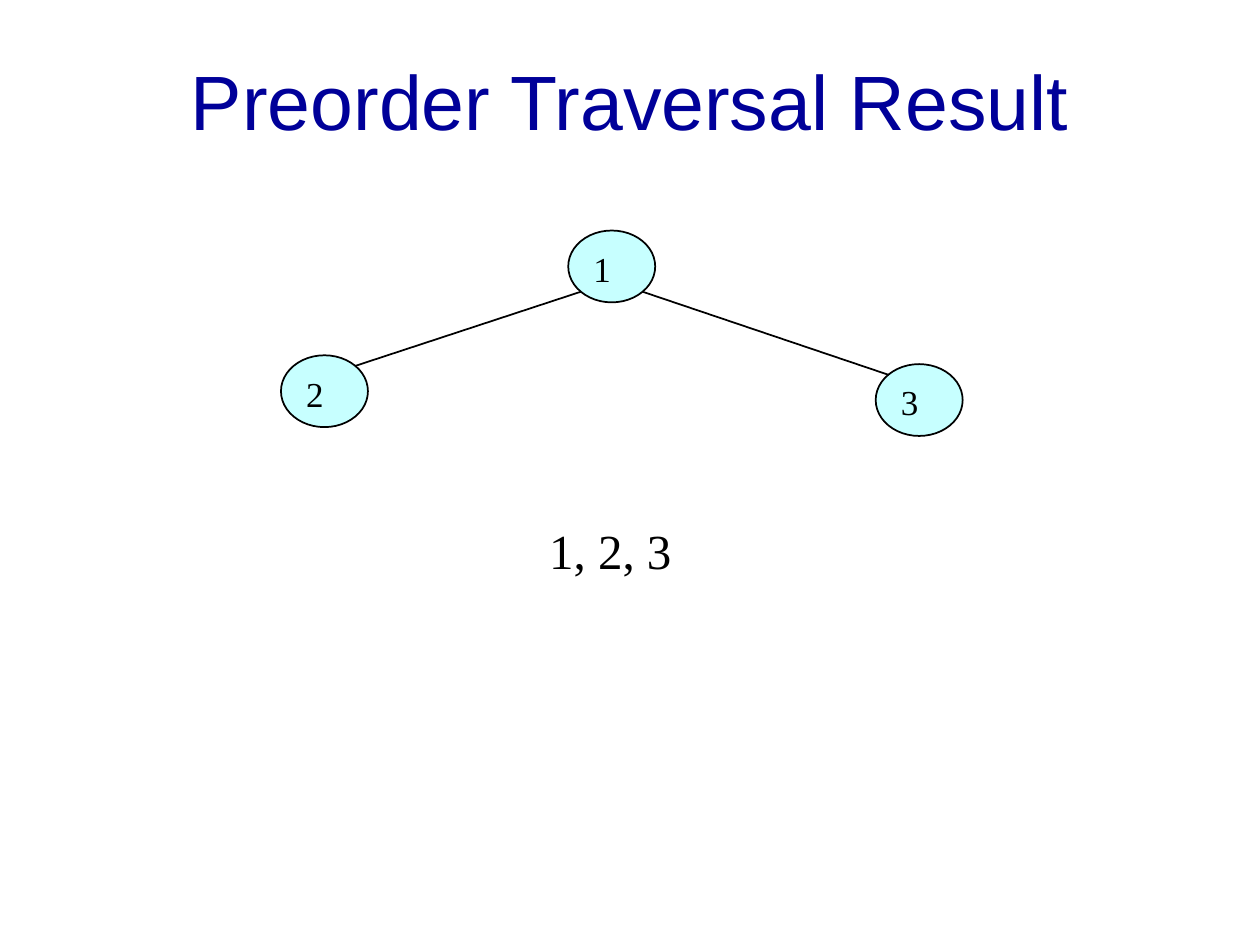
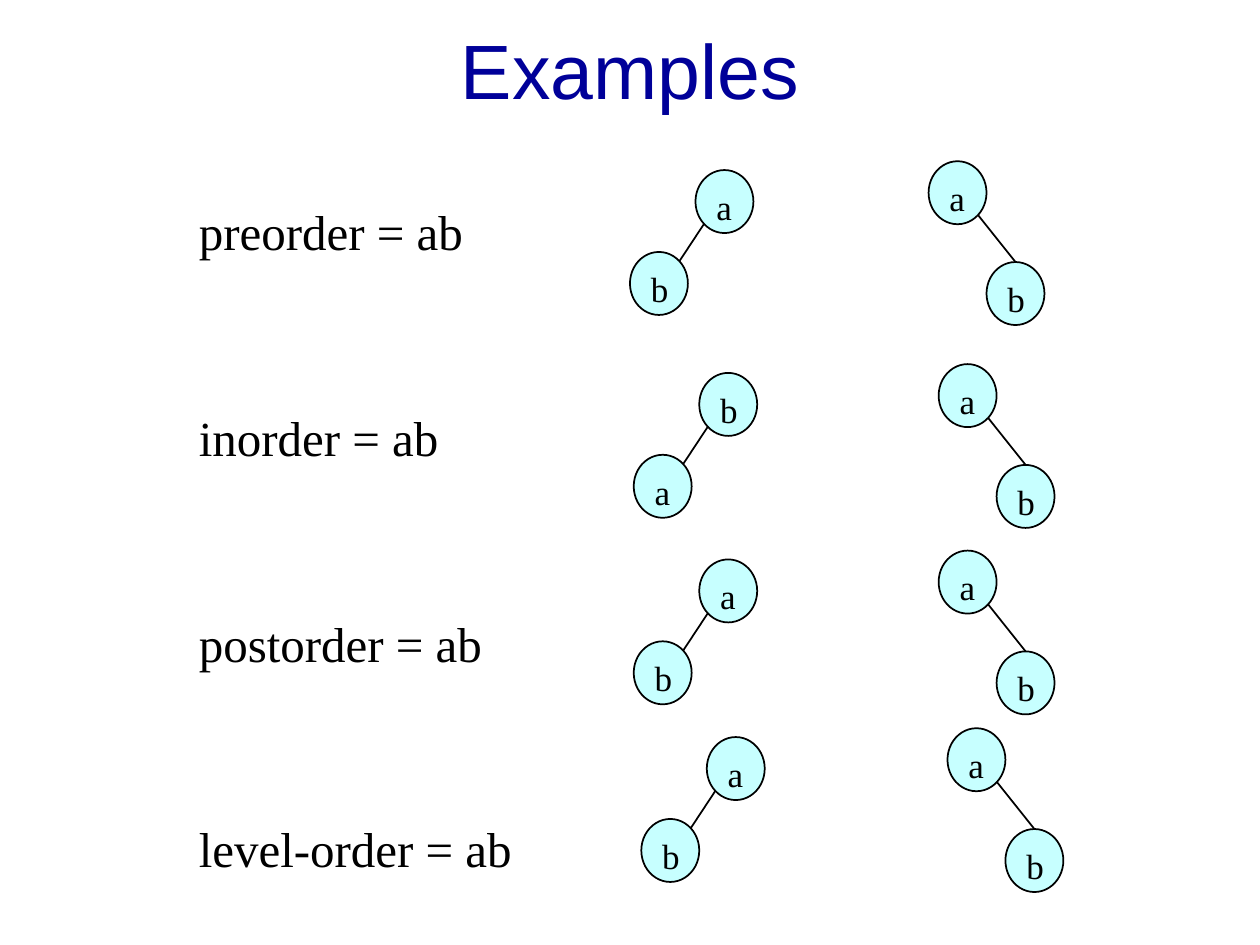
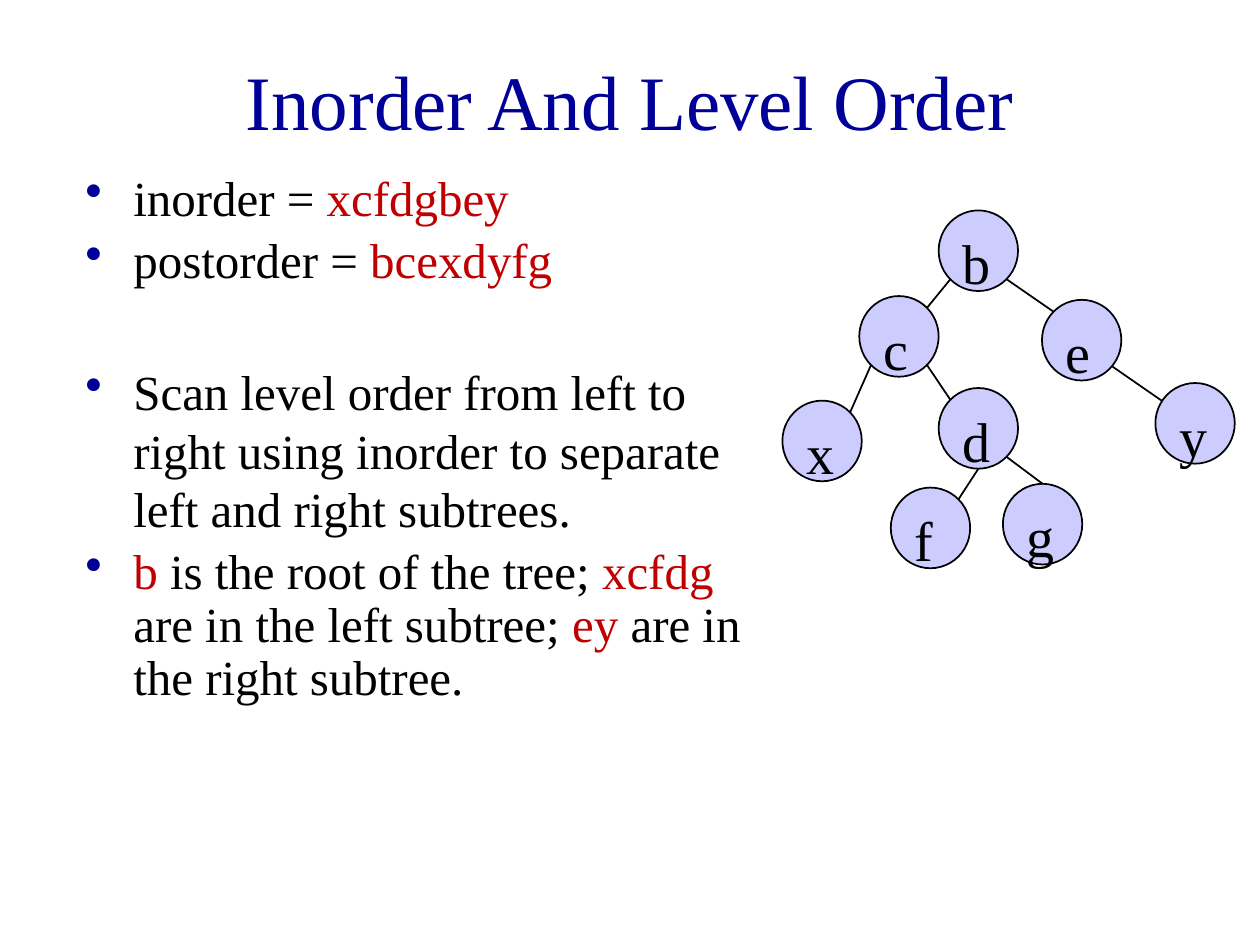
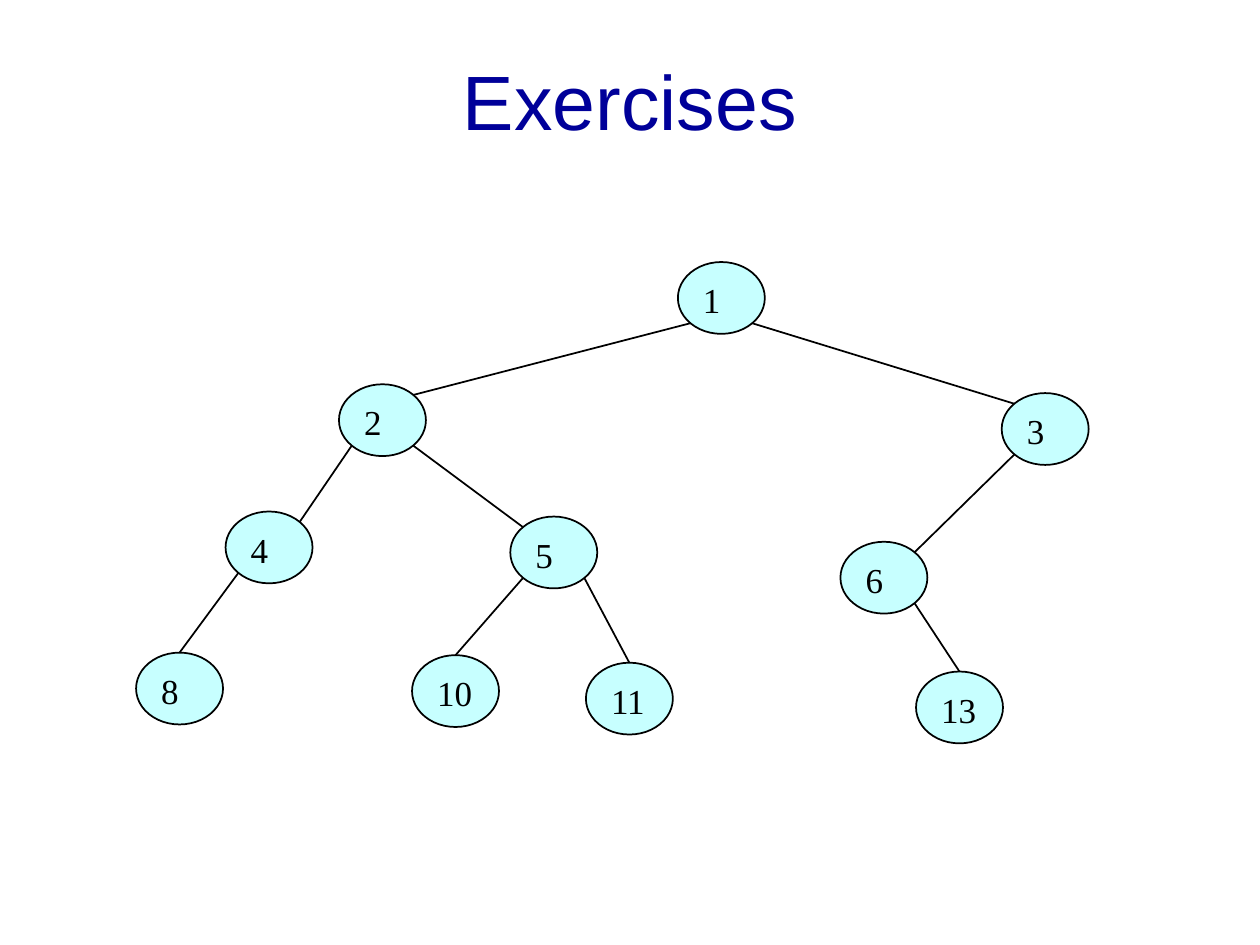
from lxml.etree import SubElement
from pptx import Presentation
from pptx.dml.color import RGBColor
from pptx.enum.shapes import MSO_CONNECTOR, MSO_SHAPE
from pptx.enum.text import MSO_ANCHOR, MSO_AUTO_SIZE, PP_ALIGN
from pptx.oxml.ns import qn
from pptx.util import Pt

# Shared scale, colours and fonts
PX = 9144  # 100 px to the inch
NAVY = RGBColor(0x00, 0x00, 0x99)
BLACK = RGBColor(0x00, 0x00, 0x00)
RED = RGBColor(0xC0, 0x00, 0x00)
CYAN = RGBColor(0xC7, 0xFF, 0xFF)
LILAC = RGBColor(0xCC, 0xCC, 0xFF)
SANS = "Arial"
SERIF = "Times New Roman"

# Points on a node's outline where edges attach, as shares of its size
SITES = {
    "top": (0.5, 0), "bottom": (0.5, 1),
    "top left": (0.15, 0.15), "top right": (0.85, 0.15),
    "bottom left": (0.15, 0.85), "bottom right": (0.85, 0.85),
}
WIDE_NODE = (69, 57)
SMALL_NODE = (46, 50)
ROUND_NODE = (63, 64)


def draw_line(page, start, end):
    ends = [round(value * PX) for value in (*start, *end)]
    line = page.shapes.add_connector(MSO_CONNECTOR.STRAIGHT, *ends)
    line.line.color.rgb = BLACK
    line.line.width = Pt(1)
    SubElement(line._element.spPr, qn("a:effectLst"))


def draw_tree(page, nodes, edges, size, fill, font_size):
    width, height = size
    for label, (left, top) in nodes.items():
        node = page.shapes.add_shape(
            MSO_SHAPE.OVAL, left * PX, top * PX, width * PX, height * PX)
        node.shadow.inherit = False
        node.fill.solid()
        node.fill.fore_color.rgb = fill
        node.line.color.rgb = BLACK
        node.line.width = Pt(1)
        node.text_frame.vertical_anchor = MSO_ANCHOR.TOP
        para = node.text_frame.paragraphs[0]
        para.alignment = PP_ALIGN.LEFT
        span = para.add_run()
        span.text = label
        span.font.name = SERIF
        span.font.size = Pt(font_size)
        span.font.color.rgb = BLACK
    for parent, parent_site, child, child_site in edges:
        start, end = [
            (nodes[label][0] + SITES[site][0] * width,
             nodes[label][1] + SITES[site][1] * height)
            for label, site in ((parent, parent_site), (child, child_site))]
        draw_line(page, start, end)


deck = Presentation()
deck.slide_width = 1000 * PX
deck.slide_height = 750 * PX

# Pages with their titles
pages = []
for text, font_name, height in [
    ("Preorder Traversal Result", SANS, 125),
    ("Examples", SANS, 75),
    ("Inorder And Level Order", SERIF, 125),
    ("Exercises", SANS, 125),
]:
    page = deck.slides.add_slide(deck.slide_layouts[5])
    title = page.shapes.title
    title.left, title.top = 75 * PX, 17 * PX
    title.width, title.height = 850 * PX, height * PX
    title.text_frame.vertical_anchor = MSO_ANCHOR.MIDDLE
    para = title.text_frame.paragraphs[0]
    para.alignment = PP_ALIGN.CENTER
    span = para.add_run()
    span.text = text
    span.font.name = font_name
    span.font.size = Pt(44)
    span.font.color.rgb = NAVY
    pages.append(page)
result_page, examples_page, orders_page, exercises_page = pages

# Preorder result: three-node tree
draw_tree(
    result_page,
    {"1": (451, 183), "2": (223, 282), "3": (695, 289)},
    [("1", "bottom left", "2", "top right"),
     ("1", "bottom right", "3", "top left")],
    WIDE_NODE, CYAN, 20)

# Examples: a left-leaning and a right-leaning tree in each row
for root, leaf, left_x, right_x, top in [
    ("a", "b", 552, 737, 135),
    ("b", "a", 555, 745, 296),
    ("a", "b", 555, 745, 444),
    ("a", "b", 561, 752, 585),
]:
    draw_tree(
        examples_page,
        {root: (left_x, top), leaf: (left_x - 52, top + 65)},
        [(root, "bottom left", leaf, "top right")],
        SMALL_NODE, CYAN, 20)
    draw_tree(
        examples_page,
        {"a": (right_x, top - 7), "b": (right_x + 46, top + 73)},
        [("a", "bottom right", "b", "top")],
        SMALL_NODE, CYAN, 20)

# Inorder and level order: reconstructed tree
draw_tree(
    orders_page,
    {"x": (621, 318), "f": (707, 387), "g": (796, 384), "e": (827, 238),
     "d": (745, 308), "c": (682, 235), "b": (745, 167), "y": (917, 304)},
    [("b", "bottom right", "e", "top left"),
     ("b", "bottom left", "c", "top right"),
     ("c", "bottom left", "x", "top right"),
     ("c", "bottom right", "d", "top left"),
     ("d", "bottom right", "g", "top"),
     ("d", "bottom", "f", "top right")],
    ROUND_NODE, LILAC, 32)
draw_line(orders_page, (883, 291), (922, 318))

# Exercises: ten-node tree
draw_tree(
    exercises_page,
    {"1": (538, 208), "2": (269, 305), "3": (795, 312), "4": (179, 406),
     "8": (108, 518), "5": (405, 410), "10": (327, 520), "11": (465, 526),
     "6": (667, 430), "13": (727, 533)},
    [("1", "bottom left", "2", "top right"),
     ("1", "bottom right", "3", "top left"),
     ("2", "bottom left", "4", "top right"),
     ("2", "bottom right", "5", "top left"),
     ("3", "bottom left", "6", "top right"),
     ("4", "bottom left", "8", "top"),
     ("5", "bottom left", "10", "top"),
     ("5", "bottom right", "11", "top"),
     ("6", "bottom right", "13", "top")],
    WIDE_NODE, CYAN, 20)

# Running text: each paragraph has space before, line spacing and runs
result_text = [(0, 1, [("1, 2, 3", BLACK)])]
examples_text = [
    (space, 1, [(f"{order} = ab", BLACK)])
    for space, order in [(0, "preorder"), (84, "inorder"),
                         (84, "postorder"), (84, "level-order")]]
orders_text = [
    (0, 0.9, [("inorder = ", BLACK), ("xcfdgbey", RED)]),
    (5.6, 0.9, [("postorder = ", BLACK), ("bcexdyfg", RED)]),
    (41, 1, [("Scan level order from left to right using inorder to "
              "separate left and right subtrees.", BLACK)]),
    (5.6, 0.9, [("b", RED), (" is the root of the tree; ", BLACK),
                ("xcfdg", RED), (" are in the left subtree; ", BLACK),
                ("ey", RED), (" are in the right subtree.", BLACK)]),
]
for page, area, wraps, bulleted, paragraphs in [
    (result_page, (426, 408, 118, 57), False, False, result_text),
    (examples_page, (148, 155, 335, 475), True, False, examples_text),
    (orders_page, (58, 133, 562, 542), True, True, orders_text),
]:
    box = page.shapes.add_textbox(*[value * PX for value in area])
    frame = box.text_frame
    frame.word_wrap = wraps
    if not wraps:
        frame.auto_size = MSO_AUTO_SIZE.SHAPE_TO_FIT_TEXT
    for index, (space, spacing, spans) in enumerate(paragraphs):
        para = frame.add_paragraph() if index else frame.paragraphs[0]
        if bulleted:
            properties = para._p.get_or_add_pPr()
            properties.set("marL", str(38 * PX))
            properties.set("indent", str(-38 * PX))
            colour = SubElement(properties, qn("a:buClr"))
            SubElement(colour, qn("a:srgbClr"), val=str(NAVY))
            SubElement(properties, qn("a:buChar"), char="•")
        para.space_before = Pt(space)
        para.line_spacing = spacing
        for text, colour in spans:
            span = para.add_run()
            span.text = text
            span.font.name = SERIF
            span.font.size = Pt(28)
            span.font.color.rgb = colour

deck.save("out.pptx")
